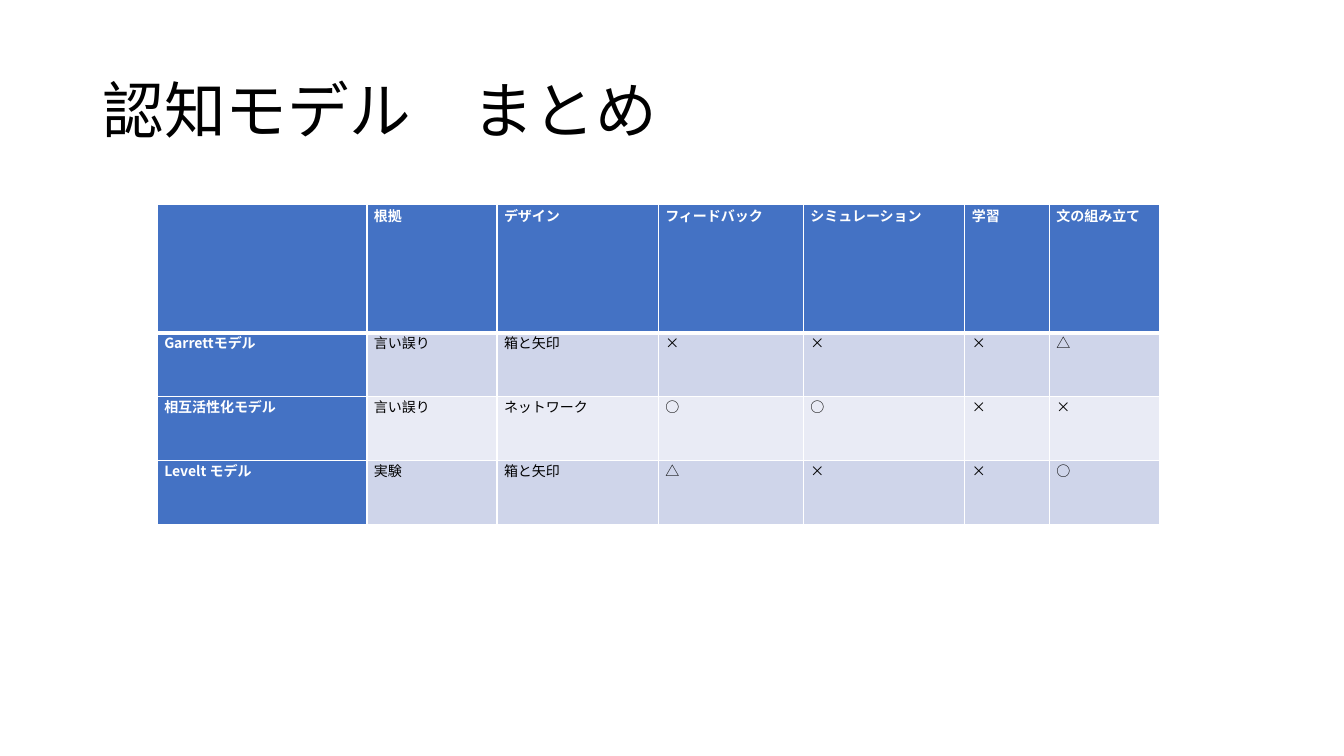
import pptx
import pptx.util
import pptx.dml.color
import pptx.enum.text
import pptx.oxml.ns
import lxml.etree

FONT = "Noto Sans CJK JP"
WHITE, BLACK, BLUE = "FFFFFF", "000000", "4472C4"
BANDS = ["CFD5EA", "E9EBF5"]
SLIDE_WIDTH, SLIDE_HEIGHT = 13.33, 7.5
COLUMN_WIDTHS = [2.08, 1.29, 1.6, 1.44, 1.6, 0.84, 1.09]
ROW_UNIT = 0.635
ROW_SPANS = [2, 1, 1, 1]
MODELS = [
    ["", "根拠", "デザイン", "フィードバック", "シミュレーション", "学習", "文の組み立て"],
    ["Garrettモデル", "言い誤り", "箱と矢印", "×", "×", "×", "△"],
    ["相互活性化モデル", "言い誤り", "ネットワーク", "○", "○", "×", "×"],
    ["Levelt モデル", "実験", "箱と矢印", "△", "×", "×", "○"],
]


def inches(value):
    return pptx.util.Inches(value)


def color(hex_value):
    return pptx.dml.color.RGBColor.from_string(hex_value)


def add_child(parent, tag, **attributes):
    return lxml.etree.SubElement(parent, pptx.oxml.ns.qn(tag), **attributes)


def write(frame, text, size=10, ink=BLACK, bold=False, align=None, spacing=None):
    paragraph = frame.paragraphs[0]
    paragraph.alignment = align
    paragraph.line_spacing = spacing
    if not text:
        return
    run = paragraph.add_run()
    run.text = text
    run.font.size = pptx.util.Pt(size)
    run.font.bold = bold
    run.font.color.rgb = color(ink)
    run.font.name = FONT
    add_child(run.font._element, "a:ea", typeface=FONT)


def add_title(slide, text):
    title = slide.shapes.add_textbox(
        inches(0.069 * SLIDE_WIDTH), inches(0.053 * SLIDE_HEIGHT),
        inches(0.863 * SLIDE_WIDTH), inches(0.193 * SLIDE_HEIGHT))
    frame = title.text_frame
    frame.word_wrap = True
    frame.vertical_anchor = pptx.enum.text.MSO_ANCHOR.MIDDLE
    write(frame, text, size=44, spacing=0.9)


def set_borders(cell, top=1, bottom=1):
    properties = cell._tc.get_or_add_tcPr()
    widths = {"a:lnL": 1, "a:lnR": 1, "a:lnT": top, "a:lnB": bottom}
    for tag, width in widths.items():
        line = add_child(properties, tag, w=str(pptx.util.Pt(width)))
        add_child(add_child(line, "a:solidFill"), "a:srgbClr", val=WHITE)


def fill_cell(cell, text, row, column):
    heading = row == 0 or column == 0
    set_borders(cell, top=3 if row == 1 else 1, bottom=3 if row == 0 else 1)
    cell.fill.solid()
    cell.fill.fore_color.rgb = color(BLUE if heading else BANDS[(row - 1) % 2])
    cell.margin_left = cell.margin_right = inches(0.07)
    cell.margin_top = cell.margin_bottom = 0
    write(cell.text_frame, text, ink=WHITE if heading else BLACK, bold=heading,
          align=pptx.enum.text.PP_ALIGN.JUSTIFY)


def add_comparison(slide):
    comparison = slide.shapes.add_table(
        len(MODELS), len(COLUMN_WIDTHS),
        inches(0.117 * SLIDE_WIDTH), inches(0.271 * SLIDE_HEIGHT),
        inches(sum(COLUMN_WIDTHS)), inches(ROW_UNIT * sum(ROW_SPANS))).table
    comparison.first_col = True
    for column, width in zip(comparison.columns, COLUMN_WIDTHS):
        column.width = inches(width)
    for row, span in zip(comparison.rows, ROW_SPANS):
        row.height = inches(ROW_UNIT * span)
    for row, entries in enumerate(MODELS):
        for column, entry in enumerate(entries):
            fill_cell(comparison.cell(row, column), entry, row, column)


def main():
    deck = pptx.Presentation()
    deck.slide_width, deck.slide_height = inches(SLIDE_WIDTH), inches(SLIDE_HEIGHT)
    slide = deck.slides.add_slide(deck.slide_layouts[6])
    add_title(slide, "認知モデル　まとめ")
    add_comparison(slide)
    deck.save("out.pptx")


main()
